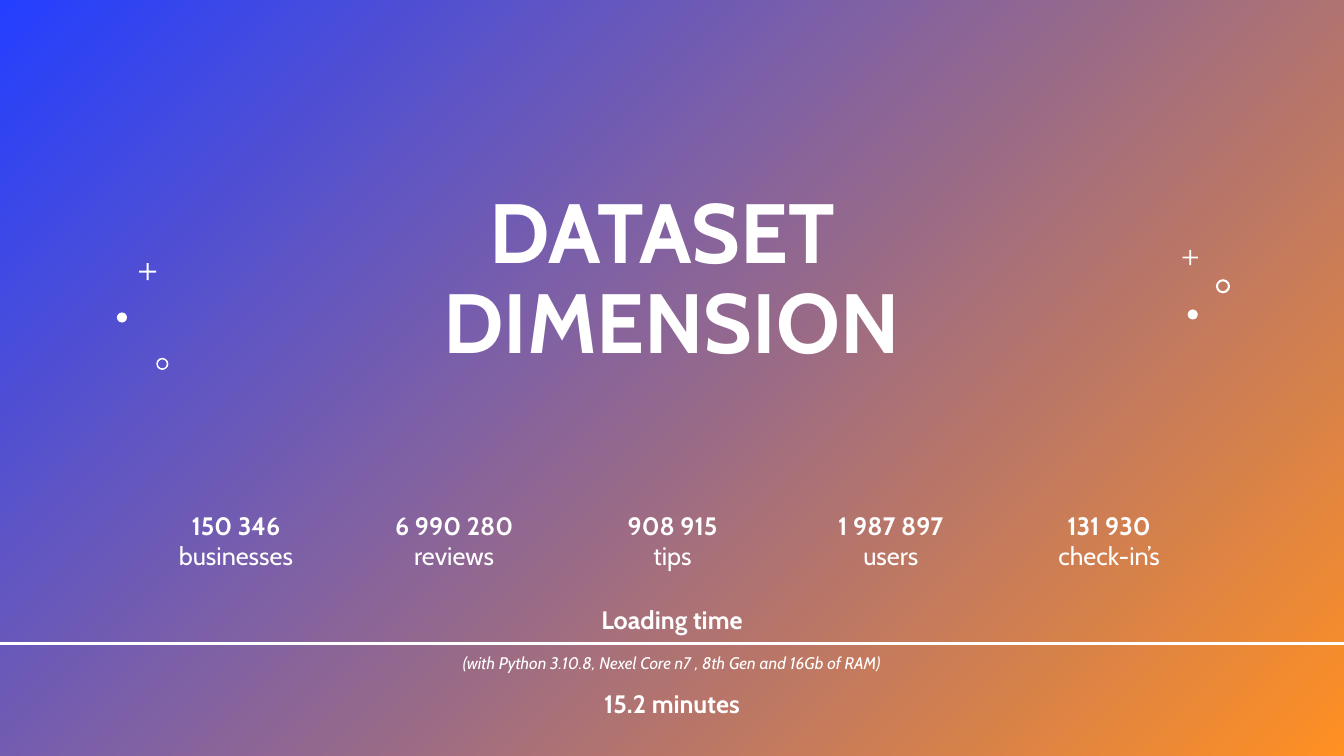
from dataclasses import dataclass

from lxml import etree
from pptx import Presentation
from pptx.dml.color import RGBColor
from pptx.enum.shapes import MSO_CONNECTOR as Connector, MSO_SHAPE as Shape
from pptx.enum.text import MSO_ANCHOR as Anchor, MSO_AUTO_SIZE as AutoSize, PP_ALIGN as Align
from pptx.oxml.ns import qn
from pptx.util import Inches, Pt


@dataclass(frozen=True)
class Theme:
    font: str = "Cabin"
    white: RGBColor = RGBColor.from_string("FFFFFF")
    blue: RGBColor = RGBColor.from_string("243FFF")
    orange: RGBColor = RGBColor.from_string("FF9022")
    title: int = 60
    label: int = 18
    note: int = 12
    rule: int = 2


THEME = Theme()
WIDTH, HEIGHT = 13.33, 7.5

STATS = [
    ("150 346", "businesses"),
    ("6 990 280", "reviews"),
    ("908 915", "tips"),
    ("1 987 897", "users"),
    ("131 930", "check-in’s"),
]

LEFT_MARKS = [
    (Shape.CROSS, 0.22, 0, 0.17, 0.44),
    (Shape.OVAL, 0, 0.49, 0.1, None),
    (Shape.DONUT, 0.39, 0.94, 0.12, 0.13),
]
RIGHT_MARKS = [
    (Shape.CROSS, 0, 0, 0.15, 0.44),
    (Shape.DONUT, 0.33, 0.29, 0.14, 0.15),
    (Shape.OVAL, 0.05, 0.59, 0.1, None),
]


def add_text(paragraph, text, *, size=THEME.label, bold=False, italic=False,
             before=0, spacing=None):
    paragraph.alignment = Align.CENTER
    if before:
        paragraph.space_before = Pt(before)
    if spacing:
        paragraph.line_spacing = spacing
    for index, line in enumerate(text.split("\n")):
        if index:
            paragraph.add_line_break()
        run = paragraph.add_run()
        run.text = line
        font = run.font
        font.name = THEME.font
        font.size = Pt(size)
        font.bold = bold
        font.italic = italic
        font.color.rgb = THEME.white


def add_frame(shapes, left, top, width, height):
    frame = shapes.add_textbox(*map(Inches, (left, top, width, height))).text_frame
    frame.word_wrap = True
    return frame


def add_plain_shape(shapes, kind, left, top, width, height):
    shape = shapes.add_shape(kind, *map(Inches, (left, top, width, height)))
    shape.shadow.inherit = False
    shape.line.fill.background()
    return shape


def draw_backdrop(slide, left, top, width, height):
    fill = add_plain_shape(slide.shapes, Shape.RECTANGLE, left, top, width, height).fill
    fill.gradient()
    fill.gradient_angle = 315
    for stop, color, position in zip(fill.gradient_stops, (THEME.blue, THEME.orange), (0, 1)):
        stop.color.rgb = color
        stop.position = position


def draw_title(slide, left, top, width, height):
    title = slide.shapes.title
    title.left, title.top, title.width, title.height = map(Inches, (left, top, width, height))
    frame = title.text_frame
    frame.word_wrap = True
    frame.auto_size = AutoSize.NONE
    frame.vertical_anchor = Anchor.BOTTOM
    add_text(frame.paragraphs[0], "DATASET \nDIMENSION", size=THEME.title, bold=True, spacing=0.9)
    slide.shapes._spTree.append(title._element)


def draw_marks(slide, left, top, marks):
    for kind, dx, dy, size, adjustment in marks:
        mark = add_plain_shape(slide.shapes, kind, left + dx, top + dy, size, size)
        mark.fill.solid()
        mark.fill.fore_color.rgb = THEME.white
        if adjustment is not None:
            mark.adjustments[0] = adjustment


def draw_rule(slide, left, top, width):
    rule = slide.shapes.add_connector(
        Connector.STRAIGHT, *map(Inches, (left, top, left + width, top)))
    rule.line.color.rgb = THEME.white
    rule.line.width = Pt(THEME.rule)
    etree.SubElement(rule._element.spPr, qn("a:effectLst"))


def draw_stats(slide, left, top, width, height):
    column = 1.74
    pitch = (width - column) / (len(STATS) - 1)
    group = slide.shapes.add_group_shape()
    for index, (count, subject) in enumerate(STATS):
        frame = add_frame(group.shapes, left + index * pitch, top, column, height)
        add_text(frame.paragraphs[0], count, bold=True)
        add_text(frame.add_paragraph(), subject)


def draw_loading_time(slide, left, top, width, height):
    heading = add_frame(slide.shapes, left, top, width, height)
    add_text(heading.paragraphs[0], "Loading time", bold=True)
    add_text(heading.add_paragraph(),
             "(with Python 3.10.8, Nexel Core n7 , 8th Gen and 16Gb of RAM)",
             size=THEME.note, italic=True, before=13)
    duration = add_frame(slide.shapes, left, top + 0.83, width, 0.4)
    add_text(duration.paragraphs[0], "15.2 minutes", bold=True)


def main():
    deck = Presentation()
    deck.slide_width, deck.slide_height = Inches(WIDTH), Inches(HEIGHT)
    slide = deck.slides.add_slide(deck.slide_layouts[5])
    draw_backdrop(slide, 0, 0, WIDTH, HEIGHT)
    draw_title(slide, 1.66, 1.18, 10, 2.56)
    draw_marks(slide, 1.16, 2.61, LEFT_MARKS)
    draw_marks(slide, 11.73, 2.48, RIGHT_MARKS)
    draw_rule(slide, 0, 6.38, WIDTH)
    draw_stats(slide, 1.47, 5.01, 10.4, 0.71)
    draw_loading_time(slide, 3.68, 5.95, 5.97, 0.82)
    deck.save("out.pptx")


if __name__ == "__main__":
    main()
